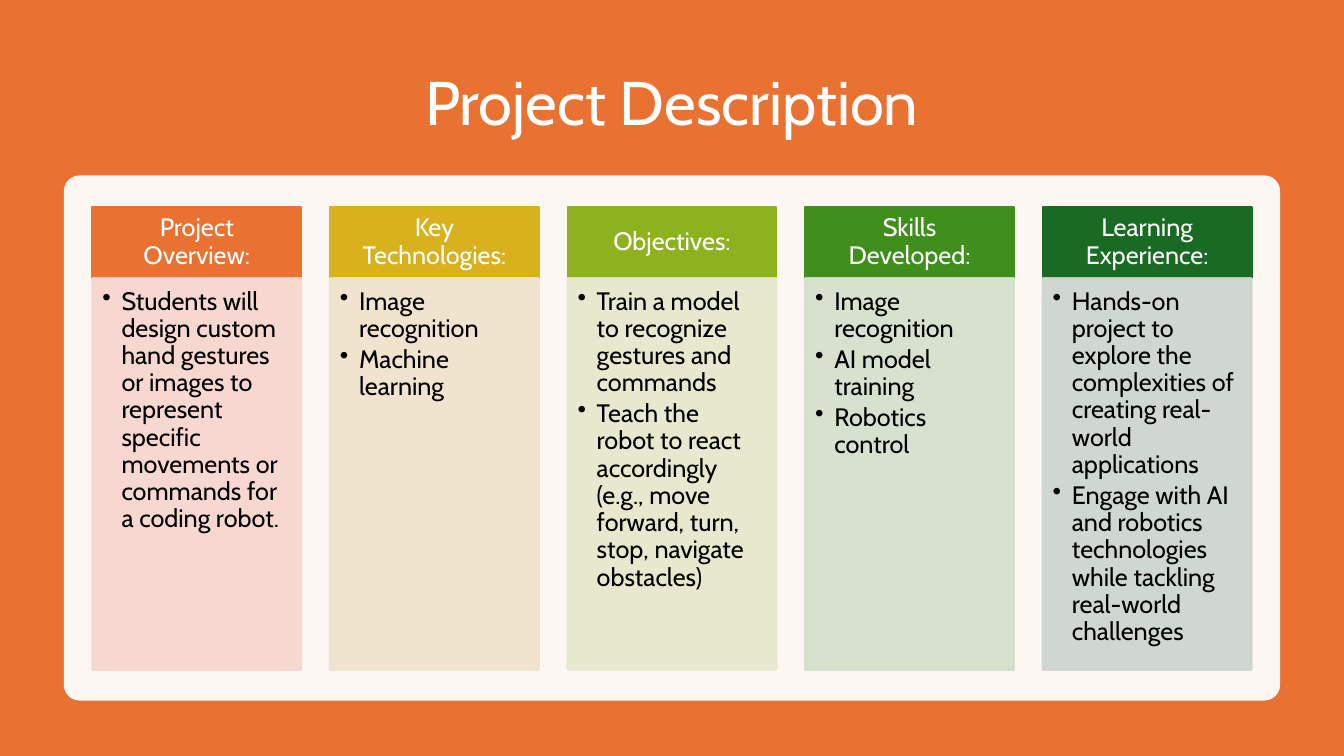
from lxml.etree import SubElement
from pptx import Presentation
from pptx.dml.color import RGBColor
from pptx.enum.shapes import MSO_SHAPE
from pptx.enum.text import MSO_ANCHOR, PP_ALIGN
from pptx.oxml.ns import qn
from pptx.util import Inches, Pt

ORANGE = RGBColor(0xE9, 0x71, 0x32)
GOLD = RGBColor(0xD8, 0xB1, 0x1D)
LIME = RGBColor(0x8E, 0xB2, 0x1E)
GREEN = RGBColor(0x40, 0x8E, 0x1C)
FOREST = RGBColor(0x19, 0x6B, 0x24)
PALE_ORANGE = RGBColor(0xF7, 0xD5, 0xCE)
PALE_GOLD = RGBColor(0xF0, 0xE3, 0xCB)
PALE_LIME = RGBColor(0xE5, 0xE8, 0xCA)
PALE_GREEN = RGBColor(0xD3, 0xDF, 0xCA)
PALE_FOREST = RGBColor(0xCC, 0xD4, 0xCD)
WHITE = RGBColor(0xFF, 0xFF, 0xFF)
BLACK = RGBColor(0x00, 0x00, 0x00)

TOPICS = [
    ("Project Overview:", ORANGE, PALE_ORANGE, [
        "Students will design custom hand gestures or images to represent "
        "specific movements or commands for a coding robot."]),
    ("Key Technologies:", GOLD, PALE_GOLD, [
        "Image recognition", "Machine learning"]),
    ("Objectives:", LIME, PALE_LIME, [
        "Train a model to recognize gestures and commands",
        "Teach the robot to react accordingly (e.g., move forward, turn, "
        "stop, navigate obstacles)"]),
    ("Skills Developed:", GREEN, PALE_GREEN, [
        "Image recognition", "AI model training", "Robotics control"]),
    ("Learning Experience:", FOREST, PALE_FOREST, [
        "Hands-on project to explore the complexities of creating "
        "real-world applications",
        "Engage with AI and robotics technologies while tackling "
        "real-world challenges"]),
]


def set_opacity(fill, percent):
    for color in fill._xPr.iter(qn("a:srgbClr")):
        SubElement(color, qn("a:alpha"), val=str(percent * 1000))


def write_text(tf, lines, size=18, color=WHITE, align=PP_ALIGN.CENTER,
               anchor=MSO_ANCHOR.MIDDLE, insets=(0.1, 0.05, 0.1, 0.05),
               after=0, bullet=None, font="Cabin"):
    tf.word_wrap = True
    tf.vertical_anchor = anchor
    tf.margin_left, tf.margin_top, tf.margin_right, tf.margin_bottom = map(Inches, insets)
    for i, line in enumerate(lines):
        p = tf.add_paragraph() if i else tf.paragraphs[0]
        p.alignment = align
        p.line_spacing = 0.9
        p.space_after = Pt(after)
        if bullet:
            pPr = p._p.get_or_add_pPr()
            pPr.set("marL", str(Inches(0.19)))
            pPr.set("indent", str(-Inches(0.19)))
            SubElement(pPr, qn("a:buChar"), char=bullet)
        r = p.add_run()
        r.text = line
        r.font.size = Pt(size)
        r.font.name = font
        r.font.color.rgb = color


class Deck:
    margin, gap, columns = 6.88, 2.15, 5

    def __init__(self):
        self.prs = Presentation()
        self.prs.slide_width, self.prs.slide_height = Inches(13.33), Inches(7.5)
        self.slide = self.prs.slides.add_slide(self.prs.slide_layouts[6])
        inner = 100 - 2 * self.margin
        self.column_width = (inner - self.gap * (self.columns - 1)) / self.columns

    def area(self, left, top, width, height):
        w, h = self.prs.slide_width, self.prs.slide_height
        return [round(share * side / 100)
                for share, side in zip((left, top, width, height), (w, h, w, h))]

    def column_area(self, column, top, height):
        left = self.margin + column * (self.column_width + self.gap)
        return left, top, self.column_width, height

    def box(self, area, color, opacity=100, radius=None, outlined=False):
        kind = MSO_SHAPE.RECTANGLE if radius is None else MSO_SHAPE.ROUNDED_RECTANGLE
        sp = self.slide.shapes.add_shape(kind, *self.area(*area))
        sp.shadow.inherit = False
        if radius is not None:
            sp.adjustments[0] = radius
        paints = [sp.fill]
        if outlined:
            sp.line.width = Pt(1.5)
            paints.append(sp.line.fill)
        else:
            sp.line.fill.background()
        for paint in paints:
            paint.solid()
            paint.fore_color.rgb = color
            if opacity < 100:
                set_opacity(paint, opacity)
        return sp

    def title(self, text):
        sp = self.slide.shapes.add_textbox(
            *self.area(self.margin, 6.67, 100 - 2 * self.margin, 14.67))
        write_text(sp.text_frame, [text], size=44)

    def topic(self, column, heading, color, pale, points):
        head = self.box(self.column_area(column, 27.33, 9.47), color, outlined=True)
        write_text(head.text_frame, [heading], insets=(0.14, 0.08, 0.14, 0.08))
        body = self.box(self.column_area(column, 36.8, 51.8), pale,
                        opacity=90, outlined=True)
        write_text(body.text_frame, points, color=BLACK, align=PP_ALIGN.LEFT,
                   anchor=MSO_ANCHOR.TOP, insets=(0.1, 0.1, 0.14, 0.16),
                   after=2.7, bullet="•")


def main():
    deck = Deck()
    deck.box((0, 0, 100, 100), ORANGE)
    deck.title("Project Description")
    deck.box((4.75, 23.2, 90.5, 69.47), WHITE, opacity=95, radius=0.03)
    for column, topic in enumerate(TOPICS):
        deck.topic(column, *topic)
    deck.prs.save("out.pptx")


if __name__ == "__main__":
    main()
